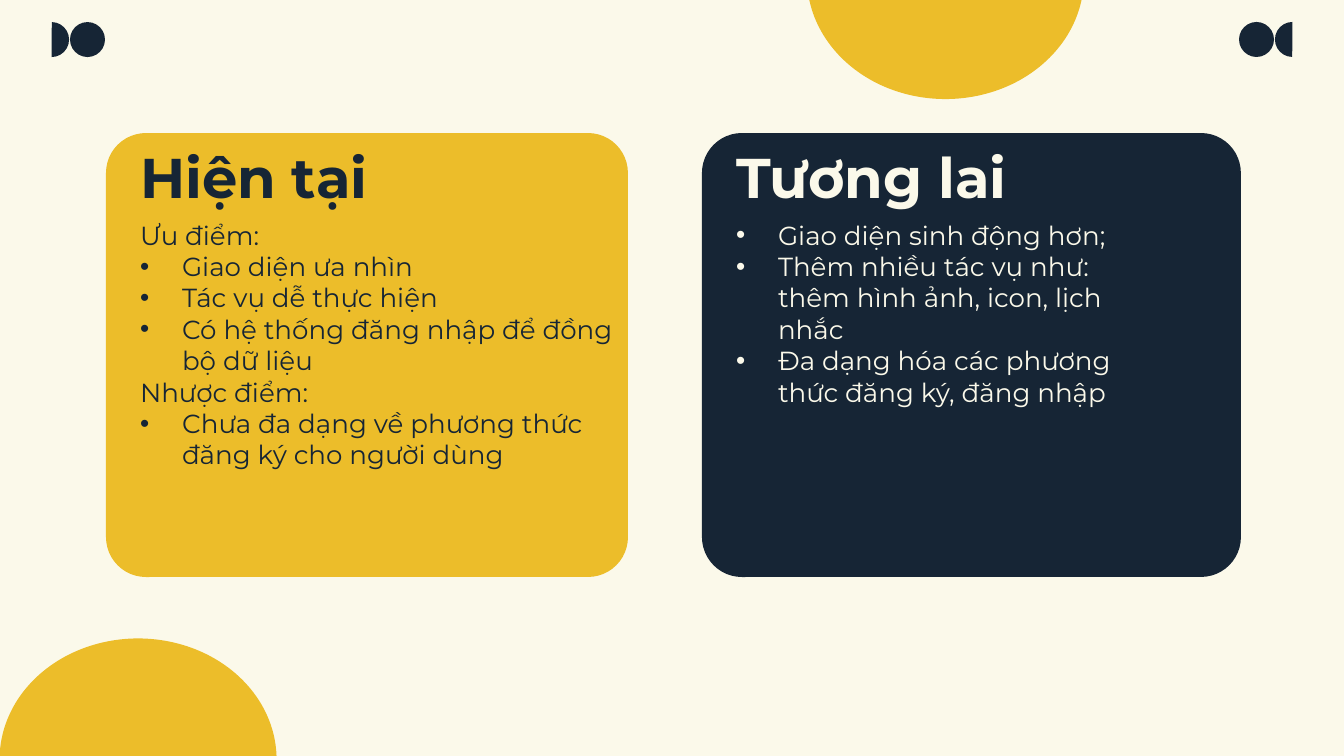
import pptx
import pptx.util
import pptx.dml.color
import pptx.enum.shapes
import pptx.enum.text
import pptx.oxml.ns
import lxml.etree

NAVY, GOLD, CREAM = "162535", "ECBD2A", "FBF9EA"
FONT = "Montserrat"
SHAPE = pptx.enum.shapes.MSO_SHAPE
INDENT = 42


def px(count):
    return round(count * 914400 / 134.4)


def color(code):
    return pptx.dml.color.RGBColor.from_string(code)


def place(item, box):
    item.left, item.top, item.width, item.height = map(px, box)


def draw(slide, kind, box, fill, turn=0, adjust=()):
    shape = slide.shapes.add_shape(kind, *map(px, box))
    shape.shadow.inherit = False
    shape.fill.solid()
    shape.fill.fore_color.rgb = color(fill)
    shape.line.fill.background()
    shape.rotation = turn
    for index, value in enumerate(adjust):
        shape.adjustments[index] = value


def mark(para, dot, ink):
    """Give a paragraph its bullet and hanging indent, or neither."""
    props = para._p.get_or_add_pPr()
    props.set("marL", str(px(INDENT) if dot else 0))
    props.set("indent", str(-px(INDENT) if dot else 0))
    name = pptx.oxml.ns.qn
    if dot:
        tint = lxml.etree.SubElement(props, name("a:buClr"))
        lxml.etree.SubElement(tint, name("a:srgbClr"), val=ink)
        lxml.etree.SubElement(props, name("a:buFont"), typeface="Arial")
        lxml.etree.SubElement(props, name("a:buChar"), char="•")
    else:
        lxml.etree.SubElement(props, name("a:buNone"))


def write(slide, holder, box, lines, size, ink, bold=False, anchor="TOP"):
    """Fill a placeholder with (text, bulleted) lines, in front of the cards."""
    place(holder, box)
    slide.shapes._spTree.append(holder._element)
    frame = holder.text_frame
    frame.word_wrap = True
    frame.auto_size = pptx.enum.text.MSO_AUTO_SIZE.NONE
    frame.vertical_anchor = getattr(pptx.enum.text.MSO_ANCHOR, anchor)
    frame.margin_left = frame.margin_right = 0
    frame.margin_top = frame.margin_bottom = 0
    for index, (text, dot) in enumerate(lines):
        para = frame.add_paragraph() if index else frame.paragraphs[0]
        mark(para, dot, ink)
        para.alignment = pptx.enum.text.PP_ALIGN.LEFT
        para.space_before = pptx.util.Pt(0)
        run = para.add_run()
        run.text = text
        run.font.name = FONT
        run.font.size = pptx.util.Pt(size)
        run.font.bold = bold
        run.font.color.rgb = color(ink)


def corner(slide, box, flip):
    """Draw a half disc on the outer side of a full disc."""
    left, top, width, size = box
    far = left + width - size
    half, dot = (far, left) if flip else (left, far)
    turn = 0 if flip else 180
    draw(slide, SHAPE.PIE, (half, top, size, size), NAVY, turn, (54.58, 162))
    draw(slide, SHAPE.OVAL, (dot, top, size, size), NAVY, turn)


def card(slide, box, fill, ink, head, title, body, lines, widths):
    left, top, width, height = box
    draw(slide, SHAPE.ROUNDED_RECTANGLE, box, fill, adjust=(0.09,))
    inner = left + 34
    write(slide, head, (inner, top, widths[0], 87), [(title, False)],
          30, ink, bold=True, anchor="MIDDLE")
    write(slide, body, (inner, top + 86, widths[1], 328), lines, 14, ink)


def main():
    deck = pptx.Presentation()
    deck.slide_width, deck.slide_height = px(1344), px(756)
    slide = deck.slides.add_slide(deck.slide_layouts[4])
    slide.background.fill.solid()
    slide.background.fill.fore_color.rgb = color(CREAM)
    spots = {item.placeholder_format.idx: item for item in slide.placeholders}
    spare = spots[3]._element
    spare.getparent().remove(spare)

    corner(slide, (34, 22, 71, 35), False)
    corner(slide, (1239, 22, 71, 35), True)
    for box, turn in (((17, 621, 242, 277), 90), ((824, -161, 243, 277), 270)):
        draw(slide, SHAPE.PIE, box, GOLD, turn, (53.46, 162))

    now = [
        ("Ưu điểm:", False),
        ("Giao diện ưa nhìn", True),
        ("Tác vụ dễ thực hiện", True),
        ("Có hệ thống đăng nhập để đồng bộ dữ liệu", True),
        ("Nhược điểm:", False),
        ("Chưa đa dạng về phương thức đăng ký cho người dùng", True),
    ]
    later = [
        ("Giao diện sinh động hơn;", True),
        ("Thêm nhiều tác vụ như: thêm hình ảnh, icon, lịch nhắc", True),
        ("Đa dạng hóa các phương thức đăng ký, đăng nhập", True),
    ]
    card(slide, (106, 133, 522, 444), GOLD, NAVY,
         spots[0], "Hiện tại", spots[2], now, (367, 481))
    card(slide, (702, 133, 539, 444), NAVY, CREAM,
         spots[1], "Tương lai", spots[4], later, (423, 386))
    deck.save("out.pptx")


if __name__ == "__main__":
    main()
